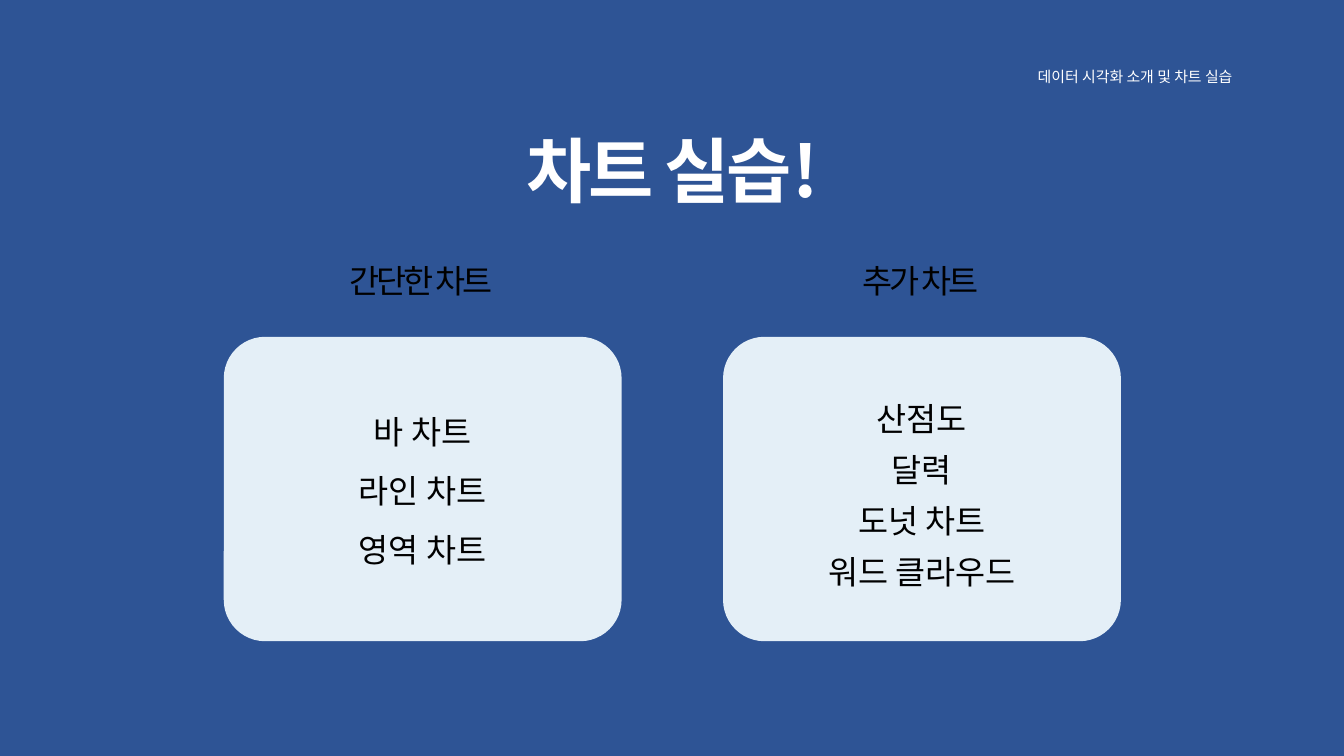
from pptx import Presentation
from pptx.dml.color import RGBColor
from pptx.enum.shapes import MSO_SHAPE
from pptx.enum.text import MSO_ANCHOR, PP_ALIGN
from pptx.oxml.ns import qn
from pptx.util import Inches, Pt
from lxml.etree import SubElement

FONT = "Noto Sans CJK KR"
HUES = {"back": "2E5495", "card": "E4EFF7", "dark": "000000", "light": "FFFFFF"}

deck = Presentation()
deck.slide_width, deck.slide_height = Inches(20), Inches(11.25)
col, row = deck.slide_width / 100, deck.slide_height / 100
slide = deck.slides.add_slide(deck.slide_layouts[5])
slide.background.fill.solid()
slide.background.fill.fore_color.rgb = RGBColor.from_string(HUES["back"])


def area(x, y, w, h):
    return round(x * col), round(y * row), round(w * col), round(h * row)


def write(shape, lines, size, hue, align=PP_ALIGN.CENTER, gap=1.0, bold=False, tight=0, anchor=MSO_ANCHOR.TOP):
    frame = shape.text_frame
    frame.word_wrap = True
    frame.vertical_anchor = anchor
    for i, line in enumerate(lines):
        para = frame.add_paragraph() if i else frame.paragraphs[0]
        para.alignment = align
        para.line_spacing = gap
        para.space_before = Pt(0)
        run = para.add_run()
        run.text = line
        run.font.size = Pt(size)
        run.font.bold = bold
        run.font.name = FONT
        run.font.color.rgb = RGBColor.from_string(HUES[hue])
        props = run.font._element
        SubElement(props, qn("a:ea")).set("typeface", FONT)
        if tight:
            props.set("spc", str(tight * 100))


title = slide.shapes.title
title.left, title.top, title.width, title.height = area(19.2, 16.27, 61.65, 12.27)
write(title, ["차트 실습!"], 76, "light", bold=True, tight=-3)

groups = [
    ("간단한 차트", ["바 차트", "라인 차트", "영역 차트"], 1.5, 0.3),
    ("추가 차트", ["산점도", "달력", "도넛 차트", "워드 클라우드"], 1.3, 0.05),
]
for i, (name, items, gap, base) in enumerate(groups):
    shift = i * 37.15
    head = slide.shapes.add_textbox(*area(24.45 + shift, 31.5, 13.75, 8))
    write(head, [name], 35, "dark", gap=1.5, tight=-3)
    card = slide.shapes.add_shape(MSO_SHAPE.ROUNDED_RECTANGLE, *area(16.65 + shift, 44.55, 29.6, 40.27))
    card.adjustments[0] = 0.136
    card.shadow.inherit = False
    card.fill.solid()
    card.fill.fore_color.rgb = RGBColor.from_string(HUES["card"])
    card.line.fill.background()
    card.text_frame.margin_bottom = Inches(base)
    write(card, items, 35, "dark", gap=gap, anchor=MSO_ANCHOR.MIDDLE)

note = slide.shapes.add_textbox(*area(49.15, 8.53, 43.3, 3.29))
write(note, ["데이터 시각화 소개 및 차트 실습 "], 16, "light", PP_ALIGN.RIGHT)

deck.save("out.pptx")
